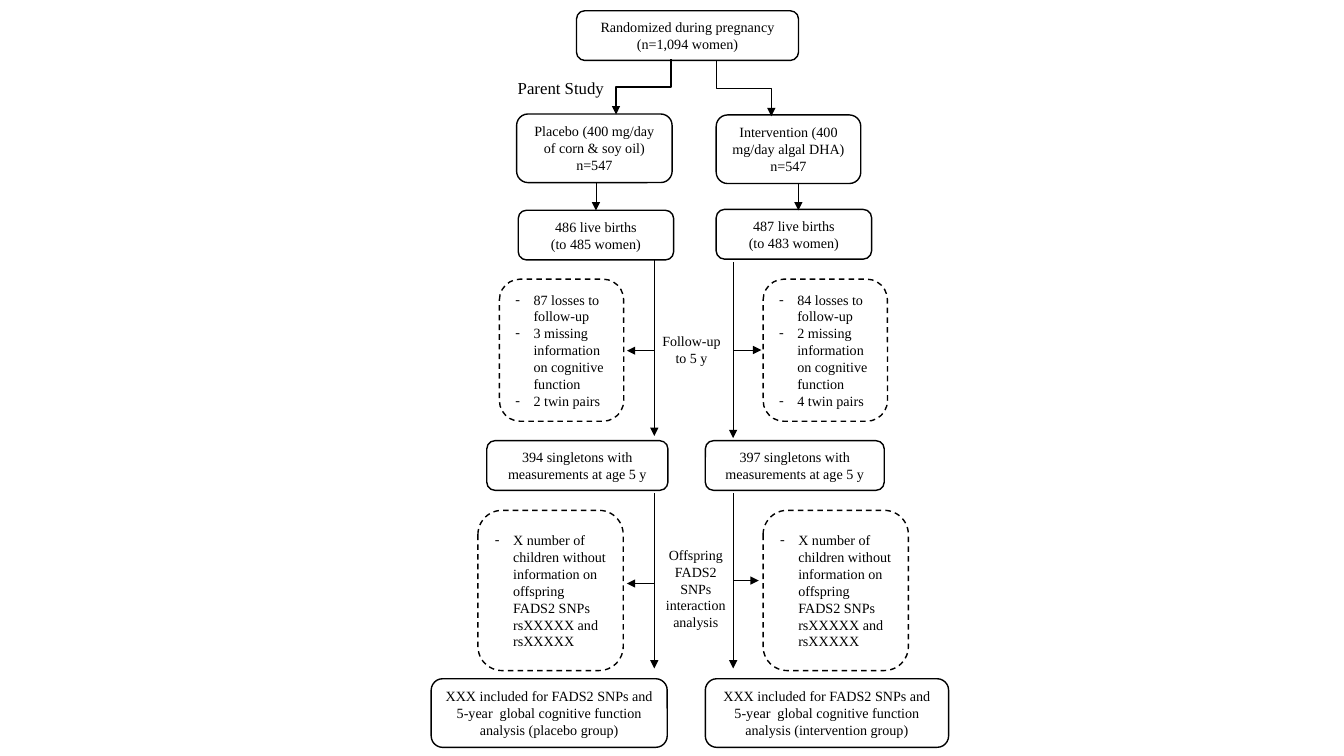
from dataclasses import dataclass

from lxml.etree import SubElement
from pptx import Presentation
from pptx.dml.color import RGBColor
from pptx.enum.dml import MSO_LINE
from pptx.enum.shapes import MSO_CONNECTOR, MSO_SHAPE
from pptx.enum.text import MSO_ANCHOR, MSO_AUTO_SIZE, PP_ALIGN
from pptx.oxml.ns import qn
from pptx.util import Pt


@dataclass(frozen=True)
class Theme:
    """Colours, type sizes and line widths of the flow chart."""
    font: str = "Times New Roman"
    ink: RGBColor = RGBColor(0, 0, 0)
    paper: RGBColor = RGBColor(255, 255, 255)
    box_size: float = 10.1
    note_size: float = 10
    heading_size: float = 12
    outline: float = 1
    thin: float = 0.5
    indent: float = 13


THEME = Theme()


def write_text(shape, lines, size, bulleted=False):
    """Fill a shape with paragraphs, centred or as a dashed list."""
    frame = shape.text_frame
    frame.word_wrap = True
    frame.auto_size = MSO_AUTO_SIZE.SHAPE_TO_FIT_TEXT
    for index, line in enumerate(lines):
        paragraph = frame.add_paragraph() if index else frame.paragraphs[0]
        paragraph.alignment = PP_ALIGN.LEFT if bulleted else PP_ALIGN.CENTER
        if bulleted:
            properties = paragraph._p.get_or_add_pPr()
            properties.set("marL", str(Pt(THEME.indent)))
            properties.set("indent", str(-Pt(THEME.indent)))
            SubElement(properties, qn("a:buFont"), typeface=THEME.font)
            SubElement(properties, qn("a:buChar"), char="-")
        run = paragraph.add_run()
        run.text = line
        run.font.name = THEME.font
        run.font.size = Pt(size)
        run.font.color.rgb = THEME.ink


def add_box(slide, place, lines, dropouts=False):
    """Add a rounded box; dropouts gives a dashed outline and a list."""
    shape = slide.shapes.add_shape(MSO_SHAPE.ROUNDED_RECTANGLE, *map(Pt, place))
    shape.shadow.inherit = False
    shape.fill.solid()
    shape.fill.fore_color.rgb = THEME.paper
    shape.line.color.rgb = THEME.ink
    shape.line.width = Pt(THEME.outline)
    if dropouts:
        shape.line.dash_style = MSO_LINE.DASH
    shape.text_frame.vertical_anchor = MSO_ANCHOR.MIDDLE
    write_text(shape, lines, THEME.box_size, bulleted=dropouts)


def add_label(slide, place, text, size):
    """Add a free-standing centred label."""
    write_text(slide.shapes.add_textbox(*map(Pt, place)), [text], size)


def add_arrow(slide, points, width=THEME.thin, kind=MSO_CONNECTOR.STRAIGHT):
    """Add a connector with a triangular head at its end."""
    connector = slide.shapes.add_connector(kind, *map(Pt, points))
    connector.line.color.rgb = THEME.ink
    connector.line.width = Pt(width)
    SubElement(connector.line._get_or_add_ln(), qn("a:tailEnd"), type="triangle")
    SubElement(connector._element.spPr, qn("a:effectLst"))
    return connector


def add_branch(slide, left, top, side, toward_left):
    """Add an elbow in a square, turned so that it leaves and ends vertically."""
    begin, end = (left, left + side) if toward_left else (left + side, left)
    elbow = add_arrow(slide, (begin, top, end, top + side),
                      THEME.outline, MSO_CONNECTOR.ELBOW)
    quarter_turns = 1 if toward_left else 3
    frame = elbow._element.spPr.find(qn("a:xfrm"))
    frame.set("rot", str(quarter_turns * 90 * 60000))


def main():
    """Build the participant flow chart."""
    presentation = Presentation()
    presentation.slide_width, presentation.slide_height = Pt(960), Pt(540)
    slide = presentation.slides.add_slide(presentation.slide_layouts[6])

    missing_snps = ["X number of children without information on offspring "
                    "FADS2 SNPs rsXXXXX and rsXXXXX"]
    included = "XXX included for FADS2 SNPs and 5-year  global cognitive function analysis"
    boxes = [
        ((411.8, 7.7, 158.6, 35.5),
         ["Randomized during pregnancy", "(n=1,094 women)"]),
        ((369, 81.4, 111.1, 49),
         ["Placebo (400 mg/day of corn & soy oil)", "n=547"]),
        ((511.6, 82.1, 103.3, 49),
         ["Intervention (400 mg/day algal DHA)", "n=547"]),
        ((370.2, 150.2, 111, 35.5), ["486 live births", "(to 485 women)"]),
        ((511.6, 149.6, 111, 35.5), ["487 live births", "(to 483 women)"]),
        ((347.7, 314.8, 129.4, 35.5),
         ["394 singletons with measurements at age 5 y"]),
        ((503.8, 314.8, 127.8, 35.5),
         ["397 singletons with measurements at age 5 y"]),
        ((308, 484.8, 168.6, 49), [f"{included} (placebo group)"]),
        ((503.8, 484.8, 173.8, 49), [f"{included} (intervention group)"]),
    ]
    for place, lines in boxes:
        add_box(slide, place, lines)

    arms = [(356.7, 341.4, 87, 3, 2), (545.1, 545.1, 84, 2, 4)]
    for losses_left, snps_left, lost, missing, twins in arms:
        add_box(slide, (losses_left, 199.4, 88.8, 101.5),
                [f"{lost} losses to follow-up",
                 f"{missing} missing information on cognitive function",
                 f"{twins} twin pairs"], dropouts=True)
        add_box(slide, (snps_left, 364.5, 103.8, 114.5), missing_snps, dropouts=True)

    add_label(slide, (361.4, 52, 78.5, 21.8), "Parent Study", THEME.heading_size)
    add_label(slide, (461.5, 234.2, 64.8, 31.7), "Follow-up to 5 y", THEME.note_size)
    add_label(slide, (464.6, 386.8, 64.8, 67.7),
              "Offspring FADS2 SNPs interaction analysis", THEME.note_size)

    add_branch(slide, 440, 42.5, 39.3, toward_left=True)
    add_branch(slide, 511.7, 43.8, 39.3, toward_left=False)

    placebo, intervention = 467.4, 523.7
    arrows = [
        (425.7, 131, 425.7, 150.3), (570.3, 131, 570.3, 150.3),
        (placebo, 186, placebo, 311.4), (intervention, 187.5, intervention, 313),
        (placebo, 250.5, 447.8, 250.5), (intervention, 250, 543.8, 250),
        (placebo, 352.3, placebo, 477.5), (intervention, 352.3, intervention, 477.5),
        (placebo, 416.8, 447.8, 416.8), (intervention, 414.7, 542, 414.7),
    ]
    for points in arrows:
        add_arrow(slide, points)

    presentation.save("out.pptx")


main()
